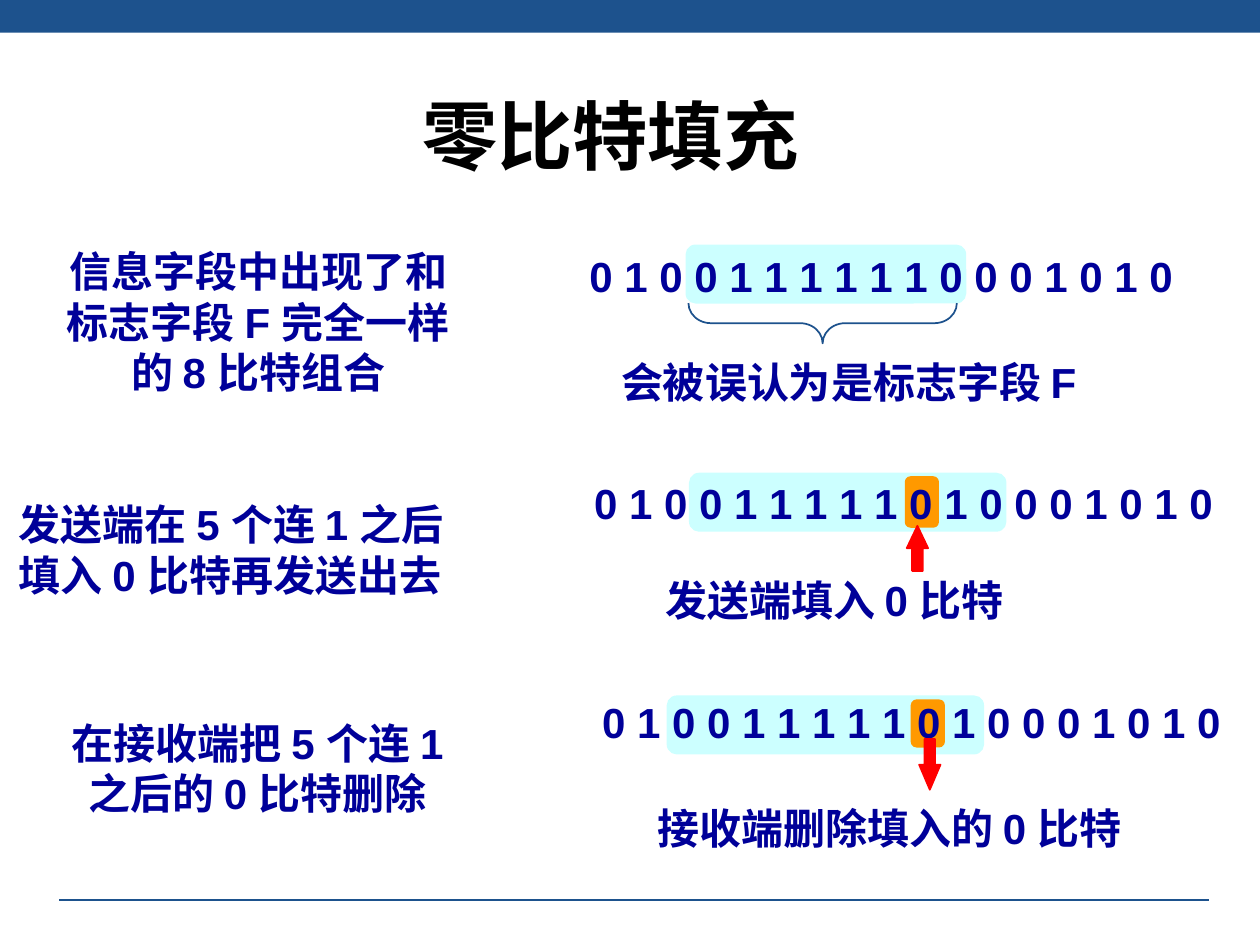
"""Build the zero-bit stuffing slide."""
from dataclasses import dataclass
from typing import Optional

import lxml.etree
import pptx
import pptx.dml.color
import pptx.enum.shapes
import pptx.enum.text
import pptx.oxml.ns
import pptx.util

Cm = pptx.util.Cm
SHAPES = pptx.enum.shapes.MSO_SHAPE
ALIGN = pptx.enum.text.PP_ALIGN
COLORS = {
    "band": "1D528D",
    "highlight": "CCFFFF",
    "stuffed": "FF9900",
    "arrow": "FF0000",
    "text": "000099",
    "title": "000000",
}


@dataclass(frozen=True)
class Area:
    left: float
    top: float
    width: float
    height: float

    def lengths(self) -> tuple:
        return tuple(Cm(v) for v in (self.left, self.top, self.width, self.height))


@dataclass(frozen=True)
class Label:
    text: str
    area: Area
    align: ALIGN = ALIGN.LEFT


@dataclass(frozen=True)
class Stage:
    note: Label
    bits: Label
    caption: Label
    highlight: Area
    stuffed: Optional[Area] = None
    arrow: Optional[Area] = None
    arrow_kind: SHAPES = SHAPES.UP_ARROW
    arrow_head: float = 1.0


STAGES = [
    Stage(
        Label("信息字段中出现了和\n标志字段 F 完全一样\n的 8 比特组合",
              Area(0.89, 4.83, 8.64, 3.3), ALIGN.CENTER),
        Label("0 1 0 0 1 1 1 1 1 1 0 0 0 1 0 1 0", Area(11.63, 4.93, 12.27, 1.27)),
        Label("会被误认为是标志字段 F", Area(12.27, 7.06, 10.11, 1.27)),
        Area(13.82, 4.93, 5.66, 1.19),
    ),
    Stage(
        Label("发送端在 5 个连 1 之后\n填入 0 比特再发送出去", Area(0.13, 9.93, 9.88, 2.29)),
        Label("0 1 0 0 1 1 1 1 1 0 1 0 0 0 1 0 1 0", Area(11.73, 9.5, 12.98, 1.27)),
        Label("发送端填入 0 比特", Area(13.16, 11.46, 7.75, 1.27)),
        Area(13.89, 9.53, 6.4, 1.19),
        Area(18.24, 9.6, 0.69, 1.04),
        Area(18.28, 10.6, 0.43, 0.91), SHAPES.UP_ARROW, 1.05,
    ),
    Stage(
        Label("在接收端把 5 个连 1\n之后的 0 比特删除", Area(0.89, 14.33, 8.61, 2.29), ALIGN.CENTER),
        Label("0 1 0 0 1 1 1 1 1 0 1 0 0 0 1 0 1 0", Area(11.89, 13.92, 12.98, 1.27)),
        Label("接收端删除填入的 0 比特", Area(13, 16.05, 10.29, 1.27)),
        Area(13.44, 14.02, 6.4, 1.19),
        Area(18.36, 14.1, 0.69, 0.97),
        Area(18.53, 14.9, 0.43, 1.02), SHAPES.DOWN_ARROW, 1.17,
    ),
]


def rgb(name: str) -> pptx.dml.color.RGBColor:
    return pptx.dml.color.RGBColor.from_string(COLORS[name])


def add_figure(page, kind: SHAPES, area: Area, fill: Optional[str] = None,
               line: Optional[str] = None, adjust: tuple = ()):
    figure = page.shapes.add_shape(kind, *area.lengths())
    figure.shadow.inherit = False
    if fill:
        figure.fill.solid()
        figure.fill.fore_color.rgb = rgb(fill)
    else:
        figure.fill.background()
    if line:
        figure.line.color.rgb = rgb(line)
        figure.line.width = pptx.util.Pt(1)
    else:
        figure.line.fill.background()
    for index, value in enumerate(adjust):
        figure.adjustments[index] = value
    return figure


def add_label(page, label: Label, size: float = 24, color: str = "text", wrap: bool = False):
    box = page.shapes.add_textbox(*label.area.lengths())
    frame = box.text_frame
    frame.word_wrap = wrap
    frame.text = label.text
    for para in frame.paragraphs:
        para.alignment = label.align
        for span in para.runs:
            span.font.name = "Arial"
            span.font.size = pptx.util.Pt(size)
            span.font.bold = True
            span.font.color.rgb = rgb(color)
    return box


def add_rule(page, left: float, right: float, top: float) -> None:
    rule = page.shapes.add_connector(
        pptx.enum.shapes.MSO_CONNECTOR.STRAIGHT, Cm(left), Cm(top), Cm(right), Cm(top))
    rule.line.color.rgb = rgb("band")
    rule.line.width = pptx.util.Pt(0.75)
    properties = rule.element.find(pptx.oxml.ns.qn("p:spPr"))
    lxml.etree.SubElement(properties, pptx.oxml.ns.qn("a:effectLst"))


def add_stage(page, stage: Stage) -> None:
    add_figure(page, SHAPES.ROUNDED_RECTANGLE, stage.highlight, "highlight", adjust=(0.17,))
    if stage.stuffed:
        add_figure(page, SHAPES.ROUNDED_RECTANGLE, stage.stuffed, "stuffed", adjust=(0.17,))
    for label in (stage.note, stage.bits, stage.caption):
        add_label(page, label)
    if stage.arrow:
        add_figure(page, stage.arrow_kind, stage.arrow, "arrow", "arrow", (0.5, stage.arrow_head))


def main() -> None:
    deck = pptx.Presentation()
    deck.slide_width, deck.slide_height = Cm(25.4), Cm(19.05)
    page = deck.slides.add_slide(deck.slide_layouts[6])
    add_figure(page, SHAPES.RECTANGLE, Area(0, 0, 25.4, 0.66), "band")
    add_rule(page, 1.19, 24.38, 18.14)
    title = Label("零比特填充 ", Area(3.71, 0.13, 17.53, 3.61), ALIGN.CENTER)
    title_box = add_label(page, title, 43, "title", True)
    title_box.text_frame.vertical_anchor = pptx.enum.text.MSO_ANCHOR.BOTTOM
    for stage in STAGES:
        add_stage(page, stage)
    brace = add_figure(page, SHAPES.LEFT_BRACE, Area(16.18, 3.81, 0.81, 5.41),
                       line="band", adjust=(0.56, 0.5))
    brace.rotation = 270
    deck.save("out.pptx")


if __name__ == "__main__":
    main()
